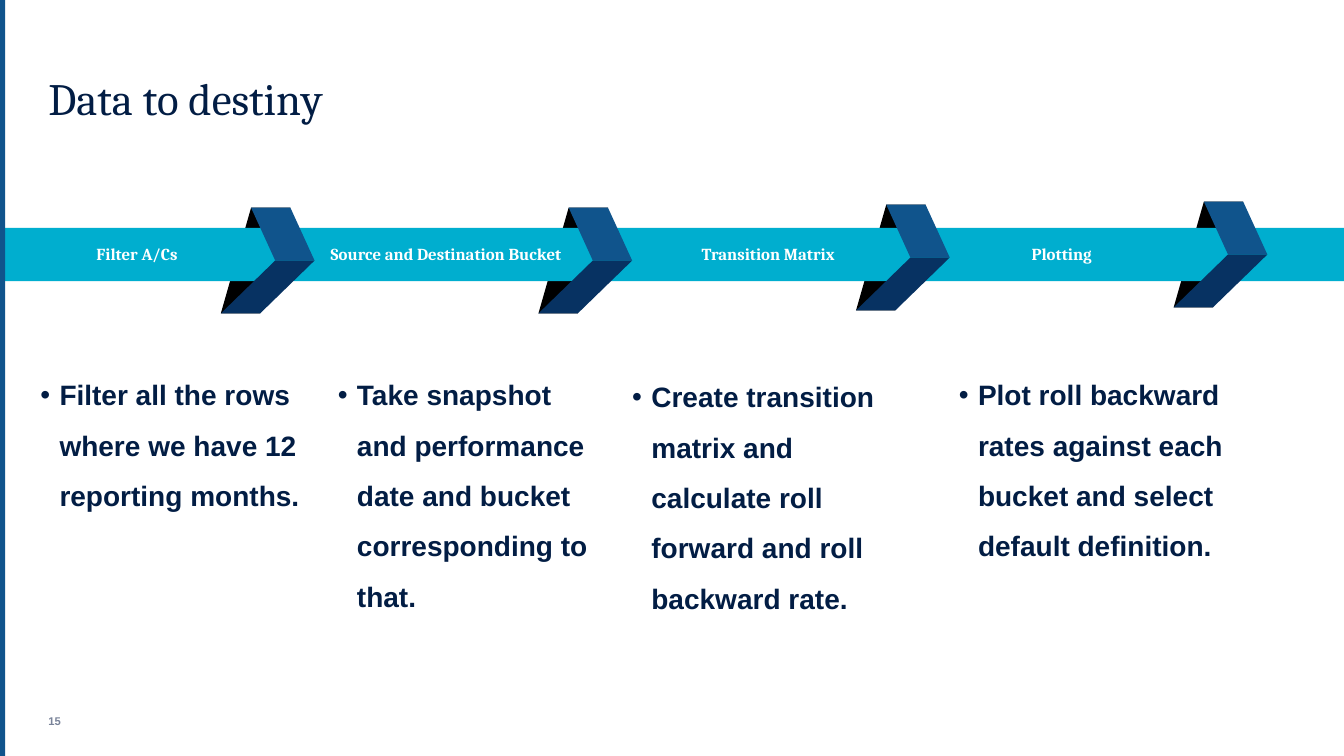
from dataclasses import dataclass

from lxml import etree
from pptx import Presentation
from pptx import util as u
from pptx.dml.color import RGBColor
from pptx.enum import shapes, text
from pptx.oxml.ns import qn


@dataclass(frozen=True)
class Theme:
    heading_font: str = "Cambria"
    body_font: str = "Arial"
    navy: str = "021D44"
    blue: str = "10548C"
    deep_blue: str = "073262"
    cyan: str = "00AECF"
    black: str = "000000"
    white: str = "FFFFFF"
    grey: str = "798399"
    title_size: int = 32
    body_size: int = 20
    label_size: int = 12
    number_size: int = 8


WIDTH, HEIGHT = 13.33, 7.5
EDGE = 0.05
MARGIN = 0.48
ARROW_LEFT, ARROW_STEP = 2.19, 3.15
ARROW_HEIGHT = 1.05
BAR = 0.39  # width of an arrow arm
LEAN = 0.3  # how far the arrow's top sits right of its foot
REACH = 0.54  # how far its bend sits right of its foot
BULLET_INDENT = 0.19

# arrow top; label left and width; label; note left, top and width; note
STEPS = [
    (2.06, 0.48, 1.76, "Filter A/Cs", 0.4, 3.58, 2.72,
     "Filter all the rows where we have 12 reporting months."),
    (2.06, 3.19, 2.47, "Source and Destination Bucket", 3.35, 3.58, 2.55,
     "Take snapshot and performance date and bucket corresponding to that."),
    (2.03, 6.42, 2.4, "Transition Matrix", 6.27, 3.6, 2.81,
     "Create transition matrix and calculate roll forward and roll backward rate."),
    (2.0, 9.92, 1.22, "Plotting", 9.51, 3.58, 2.72,
     "Plot roll backward rates against each bucket and select default definition."),
]


class SlideBuilder:
    def __init__(self, page, theme):
        self.page = page
        self.theme = theme

    def paint(self, shape, color):
        shape.shadow.inherit = False
        shape.fill.solid()
        shape.fill.fore_color.rgb = RGBColor.from_string(color)
        shape.line.fill.background()

    def rectangle(self, left, top, width, height, color):
        self.paint(self.page.shapes.add_shape(
            shapes.MSO_SHAPE.RECTANGLE, u.Inches(left), u.Inches(top),
            u.Inches(width), u.Inches(height)), color)

    def slanted_bar(self, start, end, color):
        """Draw a bar with level ends, given the left corner of each end."""
        (x1, y1), (x2, y2) = start, end
        corners = [(x1, y1), (x1 + BAR, y1), (x2 + BAR, y2), (x2, y2)]
        first, *rest = [(u.Inches(x), u.Inches(y)) for x, y in corners]
        outline = self.page.shapes.build_freeform(*first)
        outline.add_line_segments(rest, close=True)
        self.paint(outline.convert_to_shape(), color)

    def add_words(self, words, left, top, width, height, *, font, size, color,
                  bold=False, align=text.PP_ALIGN.LEFT,
                  anchor=text.MSO_ANCHOR.MIDDLE, wrap=True, spacing=None,
                  after=None, bullet=False):
        box = self.page.shapes.add_textbox(
            u.Inches(left), u.Inches(top), u.Inches(width), u.Inches(height))
        frame = box.text_frame
        frame.margin_left = frame.margin_right = 0
        frame.margin_top = frame.margin_bottom = 0
        frame.word_wrap = wrap
        frame.vertical_anchor = anchor
        para = frame.paragraphs[0]
        para.alignment = align
        para.line_spacing = spacing
        para.space_after = after
        if bullet:
            self.add_bullet(para)
        span = para.add_run()
        span.text = words
        span.font.name = font
        span.font.size = u.Pt(size)
        span.font.bold = bold
        span.font.color.rgb = RGBColor.from_string(color)

    def add_bullet(self, para):
        properties = para._p.get_or_add_pPr()
        indent = u.Inches(BULLET_INDENT)
        properties.set("marL", str(indent))
        properties.set("indent", str(-indent))
        face = etree.SubElement(properties, qn("a:buFont"))
        face.set("typeface", self.theme.body_font)
        etree.SubElement(properties, qn("a:buChar")).set("char", "•")

    def arrow_back(self, left, top):
        self.slanted_bar((left + LEAN, top), (left, top + ARROW_HEIGHT),
                         self.theme.black)

    def arrow_front(self, left, top):
        bend = (left + REACH, top + ARROW_HEIGHT / 2)
        self.slanted_bar((left + LEAN, top), bend, self.theme.blue)
        self.slanted_bar(bend, (left, top + ARROW_HEIGHT),
                         self.theme.deep_blue)

    def label(self, words, left, width):
        self.add_words(words, left, 2.42, width, 0.2,
                       font=self.theme.heading_font,
                       size=self.theme.label_size, color=self.theme.white,
                       bold=True, align=text.PP_ALIGN.CENTER)

    def note(self, words, left, top, width):
        self.add_words(words, left, top, width, 6.9 - top,
                       font=self.theme.body_font, size=self.theme.body_size,
                       color=self.theme.navy, bold=True, spacing=1.5,
                       anchor=text.MSO_ANCHOR.TOP, bullet=True)

    def title(self, words):
        self.add_words(words, MARGIN, 0.43, 12.36, 1.08,
                       font=self.theme.heading_font,
                       size=self.theme.title_size, color=self.theme.navy,
                       after=u.Pt(6))

    def page_number(self, number):
        self.add_words(number, MARGIN, 7.09, 0.14, 0.13,
                       font=self.theme.body_font, size=self.theme.number_size,
                       color=self.theme.grey, bold=True, wrap=False)


def main():
    deck = Presentation()
    deck.slide_width, deck.slide_height = u.Inches(WIDTH), u.Inches(HEIGHT)
    theme = Theme()
    slide = SlideBuilder(deck.slides.add_slide(deck.slide_layouts[6]), theme)

    slide.page_number("15")
    arrows = [(ARROW_LEFT + i * ARROW_STEP, step[0])
              for i, step in enumerate(STEPS)]
    for left, top in arrows:
        slide.arrow_back(left, top)
    slide.rectangle(EDGE, 2.26, WIDTH - EDGE, 0.53, theme.cyan)
    for arrow, step in zip(arrows, STEPS):
        _, label_left, label_width, label, left, top, width, note = step
        slide.arrow_front(*arrow)
        slide.label(label, label_left, label_width)
        slide.note(note, left, top, width)
    slide.title("Data to destiny")
    slide.rectangle(0, 0, EDGE, HEIGHT, theme.blue)
    deck.save("out.pptx")


if __name__ == "__main__":
    main()
